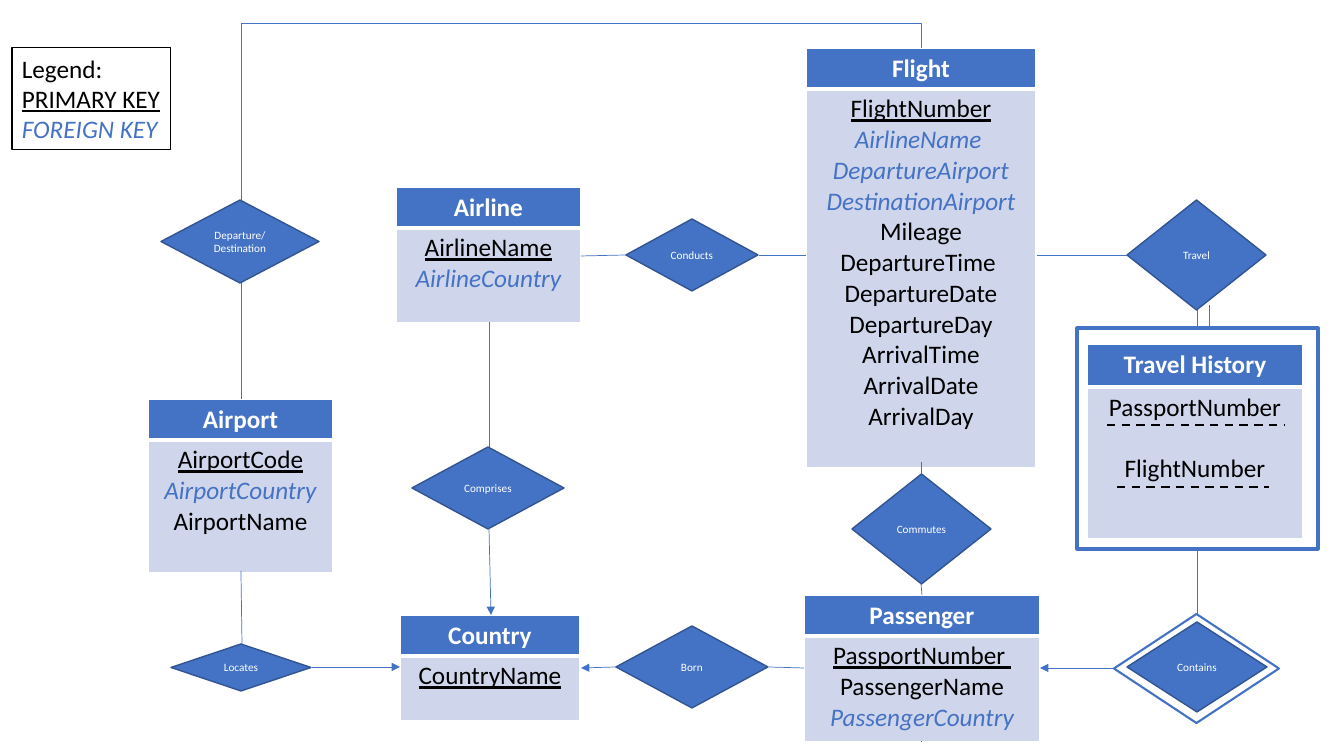
from lxml import etree
from pptx import Presentation
from pptx import util as u
from pptx.dml.color import RGBColor
from pptx.enum import dml, shapes, text
from pptx.oxml import ns

SCALE = 914400 / 100.8
BLUE, EDGE, PALE = "4472C4", "325491", "CFD5EA"
WHITE, BLACK = "FFFFFF", "000000"
PRIMARY = {"underline": True}
FOREIGN = {"italic": True, "color": BLUE}
PLAIN = {}


def px(length):
    return u.Emu(round(length * SCALE))


def rgb(value):
    return RGBColor.from_string(value)


def add_xml(parent, tag, **attributes):
    return etree.SubElement(parent, ns.qn(tag), attributes)


def write(frame, words, size=18, color=BLACK, bold=False, italic=False,
          underline=False, align=text.PP_ALIGN.CENTER, before=0):
    para = frame.paragraphs[0]
    if para.runs:
        para = frame.add_paragraph()
    para.alignment = align
    if before:
        para.space_before = u.Pt(before)
    span = para.add_run()
    span.text = words
    font = span.font
    font.name, font.size = "Calibri", u.Pt(size)
    font.bold, font.italic, font.underline = bold, italic, underline
    font.color.rgb = rgb(color)


class Diagram:
    def __init__(self, page, line_width=0.5):
        self.page = page
        self.line_width = line_width

    def outline(self, kind, area, fill, line, width):
        box = self.page.shapes.add_shape(kind, *map(px, area))
        box.shadow.inherit = False
        box.fill.solid()
        box.fill.fore_color.rgb = rgb(fill)
        box.line.color.rgb = rgb(line)
        box.line.width = u.Pt(width)
        return box

    def relation(self, name, *area):
        box = self.outline(shapes.MSO_SHAPE.DIAMOND, area, BLUE, EDGE, 1)
        frame = box.text_frame
        frame.word_wrap = True
        frame.vertical_anchor = text.MSO_ANCHOR.MIDDLE
        write(frame, name, size=8, color=WHITE)

    def entity(self, name, area, fields, header=40):
        table = self.page.shapes.add_table(2, 1, *map(px, area)).table
        table.rows[0].height = px(header)
        table.rows[1].height = px(area[3] - header)
        head, body = table.cell(0, 0), table.cell(1, 0)
        write(head.text_frame, name, color=WHITE, bold=True)
        for field, style in fields:
            write(body.text_frame, field, **style)
        for cell, fill, thick in ((head, BLUE, "B"), (body, PALE, "T")):
            self.border(cell, thick)
            cell.fill.solid()
            cell.fill.fore_color.rgb = rgb(fill)

    def border(self, cell, thick):
        properties = cell._tc.get_or_add_tcPr()
        for side in "LRTB":
            width = u.Pt(3 if side == thick else 1)
            line = add_xml(properties, f"a:ln{side}", w=str(width))
            add_xml(add_xml(line, "a:solidFill"), "a:srgbClr", val=WHITE)

    def line(self, start, end, color=BLUE, width=None, arrow=False,
             dashed=False, kind=shapes.MSO_CONNECTOR.STRAIGHT):
        line = self.page.shapes.add_connector(kind, *map(px, start + end))
        line.line.color.rgb = rgb(color)
        line.line.width = u.Pt(width or self.line_width)
        if dashed:
            line.line.dash_style = dml.MSO_LINE.DASH
        if arrow:
            add_xml(line.line._get_or_add_ln(), "a:tailEnd", type="triangle")
        add_xml(line._element.spPr, "a:effectLst")
        return line

    def detour(self, start, end, rise):
        across, down = start[0] - end[0], end[1] - start[1]
        middle_x, middle_y = (start[0] + end[0]) / 2, (start[1] + end[1]) / 2
        line = self.line((middle_x + down / 2, middle_y + across / 2),
                         (middle_x - down / 2, middle_y - across / 2),
                         kind=shapes.MSO_CONNECTOR.ELBOW)
        properties = line._element.spPr
        properties.find(ns.qn("a:xfrm")).set("rot", str(270 * 60000))
        geometry = properties.find(ns.qn("a:prstGeom"))
        adjustments = geometry.find(ns.qn("a:avLst"))
        bend = round(-rise / down * 100000)
        add_xml(adjustments, "a:gd", name="adj1", fmla=f"val {bend}")

    def legend(self, area, entries):
        box = self.page.shapes.add_textbox(*map(px, area))
        box.line.color.rgb = rgb(BLACK)
        box.line.width = u.Pt(0.75)
        frame = box.text_frame
        frame.word_wrap = False
        frame.auto_size = text.MSO_AUTO_SIZE.SHAPE_TO_FIT_TEXT
        for words, style in entries:
            write(frame, words, align=text.PP_ALIGN.LEFT, **style)


deck = Presentation()
deck.slide_width, deck.slide_height = px(1344), px(756)
diagram = Diagram(deck.slides.add_slide(deck.slide_layouts[6]))

diagram.outline(shapes.MSO_SHAPE.DIAMOND, (1114, 614, 165, 109), WHITE, BLUE, 1.5)
diagram.outline(shapes.MSO_SHAPE.RECTANGLE, (1077, 328, 241, 221), WHITE, BLUE, 2.25)

diagram.entity("Airport", (148, 399, 185, 173), [
    ("AirportCode", PRIMARY), ("AirportCountry", FOREIGN), ("AirportName", PLAIN)])
diagram.entity("Airline", (396, 187, 185, 135), [
    ("AirlineName", PRIMARY), ("AirlineCountry", FOREIGN)])
diagram.entity("Flight", (806, 48, 230, 419), [
    ("FlightNumber", PRIMARY), ("AirlineName ", FOREIGN),
    ("DepartureAirport", FOREIGN), ("DestinationAirport", FOREIGN),
    ("Mileage", PLAIN), ("DepartureTime ", PLAIN), ("DepartureDate", PLAIN),
    ("DepartureDay", PLAIN), ("ArrivalTime", PLAIN), ("ArrivalDate", PLAIN),
    ("ArrivalDay", PLAIN)])
diagram.entity("Passenger", (804, 595, 236, 146), [
    ("PassportNumber ", PRIMARY), ("PassengerName", PLAIN),
    ("PassengerCountry", FOREIGN)])
diagram.entity("Travel History", (1087, 344, 216, 195), [
    ("PassportNumber", PLAIN), ("FlightNumber", {"before": 22})], header=43)
diagram.entity("Country", (400, 615, 180, 105), [("CountryName", PRIMARY)])

for relation in (
    ("Conducts", 626, 219, 132, 72),
    ("Commutes", 852, 474, 139, 110),
    ("Contains", 1127, 622, 140, 90),
    ("Locates", 171, 644, 140, 47),
    ("Comprises", 412, 447, 152, 82),
    ("Travel", 1127, 200, 139, 110),
    ("Born", 616, 626, 152, 82),
    ("Departure/ Destination", 161, 200, 158, 83),
):
    diagram.relation(*relation)

for start, end in (
    ((759, 255), (806, 255)),
    ((626, 255), (581, 256)),
    ((921, 462), (921, 474)),
    ((922, 595), (921, 583)),
    ((242, 644), (241, 571)),
    ((489, 322), (489, 447)),
    ((1197, 614), (1197, 549)),
    ((1127, 255), (1037, 255)),
    ((921, 741), (922, 741)),
    ((769, 667), (804, 668)),
    ((1197, 310), (1197, 328)),
    ((1209, 305), (1209, 328)),
    ((241, 283), (241, 399)),
):
    diagram.line(start, end)

for start, end in (
    ((1114, 668), (1040, 668)),
    ((312, 667), (400, 667)),
    ((489, 528), (491, 615)),
    ((616, 667), (581, 668)),
):
    diagram.line(start, end, arrow=True)

for left, right, height in ((1107, 1284, 425), (1117, 1269, 487)):
    diagram.line((left, height), (right, height), BLACK, 1.5, dashed=True)

diagram.detour((921, 48), (241, 200), rise=25)
diagram.legend((12, 48, 159, 102), [
    ("Legend:", PLAIN), ("PRIMARY KEY", PRIMARY), ("FOREIGN KEY", FOREIGN)])

deck.save("out.pptx")
